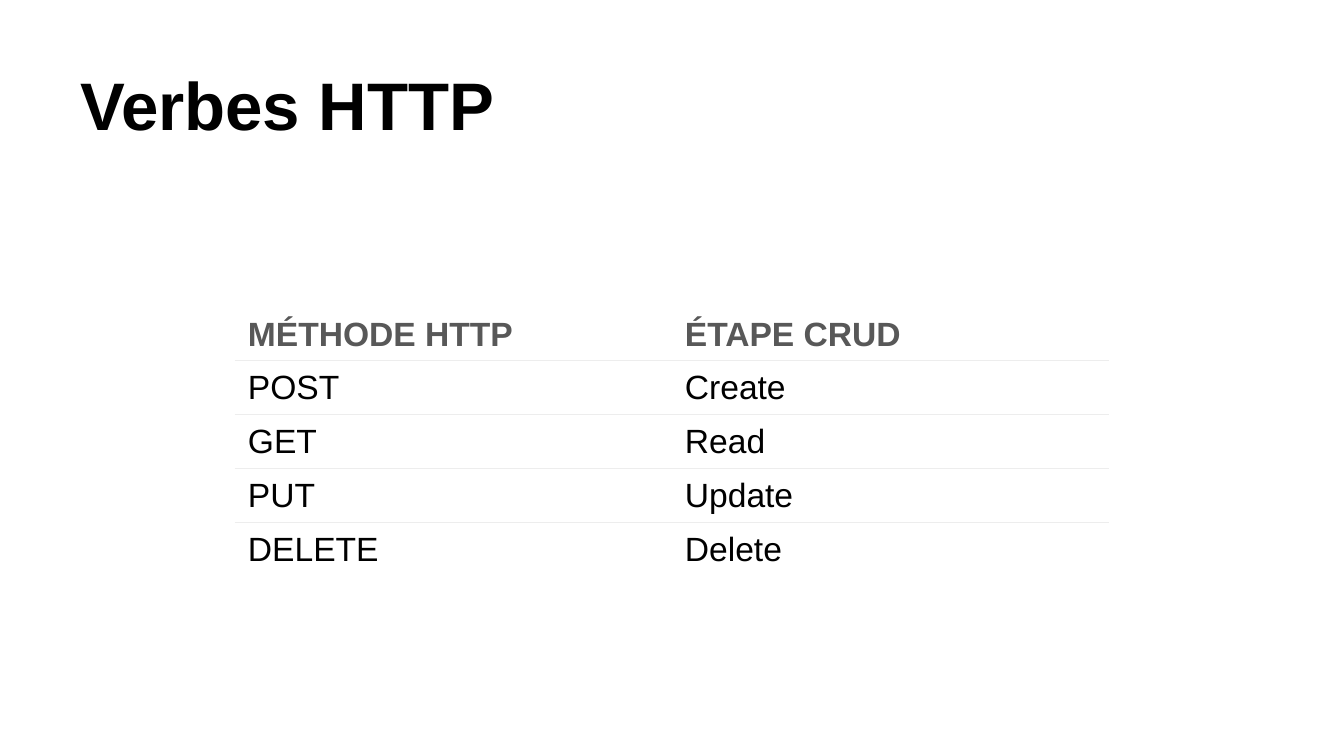
from dataclasses import dataclass

from lxml.etree import SubElement
from pptx import Presentation
from pptx.dml.color import RGBColor
from pptx.enum.text import MSO_ANCHOR, PP_ALIGN
from pptx.oxml.ns import qn
from pptx.util import Emu, Pt

TITLE = "Verbes HTTP"
VERBS = [
    ("MÉTHODE HTTP", "ÉTAPE CRUD"),
    ("POST", "Create"),
    ("GET", "Read"),
    ("PUT", "Update"),
    ("DELETE", "Delete"),
]

SLIDE_SIZE = (1344, 756)
TITLE_BOX = (67, 31, 1210, 126)
TABLE_LEFT, TABLE_TOP, COLUMN_WIDTH = 235, 309, 437
HEADER_HEIGHT, ROW_HEIGHT = 51, 54
SIDE_INSET, HEADER_INSET, ROW_INSET = 13, 7, 8


@dataclass(frozen=True)
class Theme:
    """Colours and type sizes of the slide."""
    font: str = "Arial"
    ink: str = "000000"
    heading: str = "585858"
    paper: str = "FFFFFF"
    rule: str = "EDEDED"
    title_size: int = 36
    table_size: int = 18
    rule_width: float = 0.75


THEME = Theme()


def px(pixels):
    """Turn pixels into EMU."""
    return Emu(round(pixels * 914400 / 134.4))


def style_text(frame, size, color, bold):
    """Format every run of a text frame, aligned left."""
    for paragraph in frame.paragraphs:
        paragraph.alignment = PP_ALIGN.LEFT
        for run in paragraph.runs:
            run.font.name = THEME.font
            run.font.size = Pt(size)
            run.font.bold = bold
            run.font.color.rgb = RGBColor.from_string(color)


def set_borders(cell, ruled_sides):
    """Rule the given sides of a cell and clear the others."""
    properties = cell._tc.get_or_add_tcPr()
    for side in "LRTB":
        line = SubElement(properties, qn(f"a:ln{side}"), w=str(Pt(THEME.rule_width)))
        if side in ruled_sides:
            fill = SubElement(line, qn("a:solidFill"))
            SubElement(fill, qn("a:srgbClr"), val=THEME.rule)
        else:
            SubElement(line, qn("a:noFill"))


def add_title(slide):
    """Fill and place the title placeholder."""
    title = slide.shapes.title
    title.left, title.top, title.width, title.height = map(px, TITLE_BOX)
    frame = title.text_frame
    frame.text = TITLE
    frame.vertical_anchor = MSO_ANCHOR.BOTTOM
    frame.margin_left = frame.margin_right = px(SIDE_INSET)
    frame.margin_top = frame.margin_bottom = px(SIDE_INSET)
    style_text(frame, THEME.title_size, THEME.ink, True)


def add_verbs(slide):
    """Add the table of verbs, with a rule between each pair of rows."""
    last = len(VERBS) - 1
    columns = len(VERBS[0])
    height = HEADER_HEIGHT + last * ROW_HEIGHT
    table = slide.shapes.add_table(
        len(VERBS), columns, px(TABLE_LEFT), px(TABLE_TOP),
        px(columns * COLUMN_WIDTH), px(height)).table
    table.first_row = table.horz_banding = False
    for column in table.columns:
        column.width = px(COLUMN_WIDTH)
    for r, verb in enumerate(VERBS):
        header = r == 0
        table.rows[r].height = px(HEADER_HEIGHT if header else ROW_HEIGHT)
        ruled_sides = ("" if header else "T") + ("" if r == last else "B")
        for c, label in enumerate(verb):
            cell = table.cell(r, c)
            cell.text_frame.text = label
            cell.vertical_anchor = MSO_ANCHOR.MIDDLE
            cell.margin_left = cell.margin_right = px(SIDE_INSET)
            cell.margin_top = cell.margin_bottom = px(HEADER_INSET if header else ROW_INSET)
            style_text(cell.text_frame, THEME.table_size,
                       THEME.heading if header else THEME.ink, header)
            set_borders(cell, ruled_sides)
            cell.fill.solid()
            cell.fill.fore_color.rgb = RGBColor.from_string(THEME.paper)


deck = Presentation()
deck.slide_width, deck.slide_height = map(px, SLIDE_SIZE)
slide = deck.slides.add_slide(deck.slide_layouts.get_by_name("Title Only"))
slide.background.fill.solid()
slide.background.fill.fore_color.rgb = RGBColor.from_string(THEME.paper)
add_title(slide)
add_verbs(slide)
deck.save("out.pptx")
